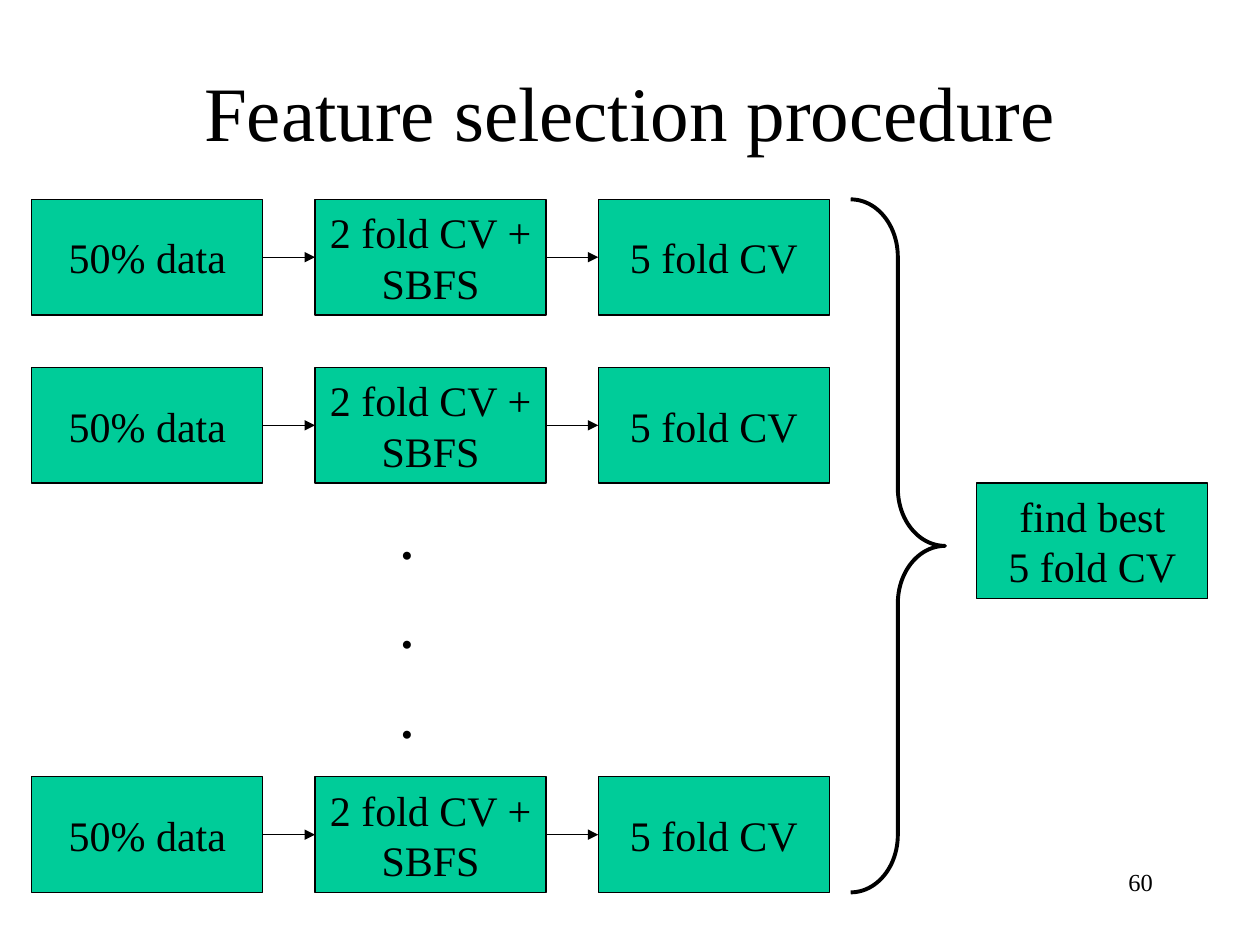
from dataclasses import dataclass

from lxml import etree
from pptx import Presentation
from pptx.dml.color import RGBColor
from pptx.enum.shapes import MSO_CONNECTOR, MSO_SHAPE
from pptx.enum.text import MSO_ANCHOR, PP_ALIGN
from pptx.oxml.ns import qn
from pptx.util import Cm, Pt

RECTANGLE = MSO_SHAPE.RECTANGLE
RIGHT_BRACE = MSO_SHAPE.RIGHT_BRACE
STRAIGHT = MSO_CONNECTOR.STRAIGHT
TOP, MIDDLE = MSO_ANCHOR.TOP, MSO_ANCHOR.MIDDLE
LEFT, CENTER, RIGHT = PP_ALIGN.LEFT, PP_ALIGN.CENTER, PP_ALIGN.RIGHT
TITLE_ONLY = 5


@dataclass(frozen=True)
class Theme:
    font: str = "Times New Roman"
    ink: RGBColor = RGBColor(0x00, 0x00, 0x00)
    box_fill: RGBColor = RGBColor(0x00, 0xCC, 0x99)
    title_size: int = 44
    dots_size: int = 28
    box_size: int = 24
    number_size: int = 14
    thin_line: float = 0.75
    brace_line: float = 2.25


class SlideBuilder:
    """Draws the slide's elements; all lengths are in centimetres."""

    def __init__(self, slide, theme):
        self.slide = slide
        self.theme = theme

    def set_text(self, shape, text, size, align=CENTER, anchor=MIDDLE,
                 wrap=True, bold=False, gap=0):
        frame = shape.text_frame
        frame.text = text
        frame.word_wrap = wrap
        frame.vertical_anchor = anchor
        for index, paragraph in enumerate(frame.paragraphs):
            paragraph.alignment = align
            paragraph.space_before = Pt(gap if index else 0)
            for run in paragraph.runs:
                run.font.name = self.theme.font
                run.font.size = Pt(size)
                run.font.bold = bold
                run.font.color.rgb = self.theme.ink

    def outline(self, shape, width):
        shape.line.color.rgb = self.theme.ink
        shape.line.width = Pt(width)

    def title(self, text, left, top, width, height):
        shape = self.slide.shapes.title
        shape.left, shape.top = Cm(left), Cm(top)
        shape.width, shape.height = Cm(width), Cm(height)
        self.set_text(shape, text, self.theme.title_size)

    def text(self, text, left, top, width, height, size, **style):
        shape = self.slide.shapes.add_textbox(
            Cm(left), Cm(top), Cm(width), Cm(height))
        self.set_text(shape, text, size, anchor=TOP, **style)

    def box(self, text, left, top, width, height):
        shape = self.slide.shapes.add_shape(
            RECTANGLE, Cm(left), Cm(top), Cm(width), Cm(height))
        shape.shadow.inherit = False
        shape.fill.solid()
        shape.fill.fore_color.rgb = self.theme.box_fill
        self.outline(shape, self.theme.thin_line)
        self.set_text(shape, text, self.theme.box_size, wrap=False)

    def arrow(self, start, end, y):
        connector = self.slide.shapes.add_connector(
            STRAIGHT, Cm(start), Cm(y), Cm(end), Cm(y))
        self.outline(connector, self.theme.thin_line)
        properties = connector._element.spPr
        etree.SubElement(properties.find(qn("a:ln")), qn("a:tailEnd"),
                         type="triangle")
        etree.SubElement(properties, qn("a:effectLst"))

    def brace(self, left, top, width, height):
        shape = self.slide.shapes.add_shape(
            RIGHT_BRACE, Cm(left), Cm(top), Cm(width), Cm(height))
        shape.adjustments[0] = 0.61
        shape.shadow.inherit = False
        shape.fill.background()
        self.outline(shape, self.theme.brace_line)


def main():
    presentation = Presentation()
    presentation.slide_width, presentation.slide_height = Cm(25.4), Cm(19.05)
    slide = presentation.slides.add_slide(
        presentation.slide_layouts[TITLE_ONLY])
    theme = Theme()
    builder = SlideBuilder(slide, theme)

    builder.title("Feature selection procedure", 1.9, 0.64, 21.6, 3.18)

    # Repeated runs: one row of three steps each
    steps = ["50% data", "2 fold CV +\nSBFS", "5 fold CV"]
    row_tops = [4.02, 7.41, 15.66]
    first_left, pitch = 0.64, 5.71
    box_width, box_height = 4.66, 2.33
    for top in row_tops:
        for column, step in enumerate(steps):
            left = first_left + column * pitch
            builder.box(step, left, top, box_width, box_height)
            if column:
                builder.arrow(left - pitch + box_width, left,
                              top + box_height / 2)

    # Dots for the runs left out
    builder.text(".\n.\n.", 7.83, 10.16, 2.54, 5.05, theme.dots_size,
                 align=LEFT, bold=True, gap=17.5)

    # Brace that gathers the rows into the result
    builder.brace(17.15, row_tops[0], 1.9,
                  row_tops[-1] + box_height - row_tops[0])
    builder.box("find best\n5 fold CV", 19.69, 9.74, box_width, box_height)

    # Slide number
    builder.text("60", 18.2, 17.35, 5.29, 1.27, theme.number_size, align=RIGHT)

    presentation.save("out.pptx")


if __name__ == "__main__":
    main()
